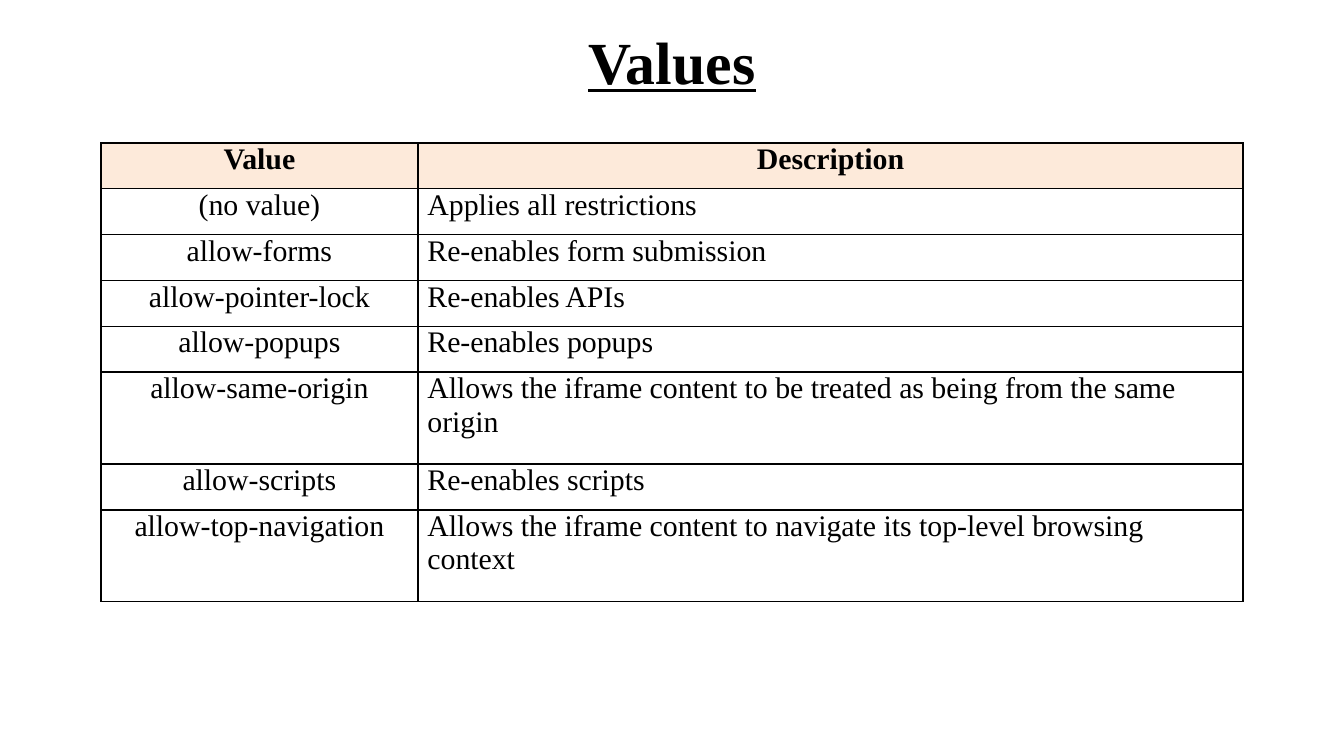
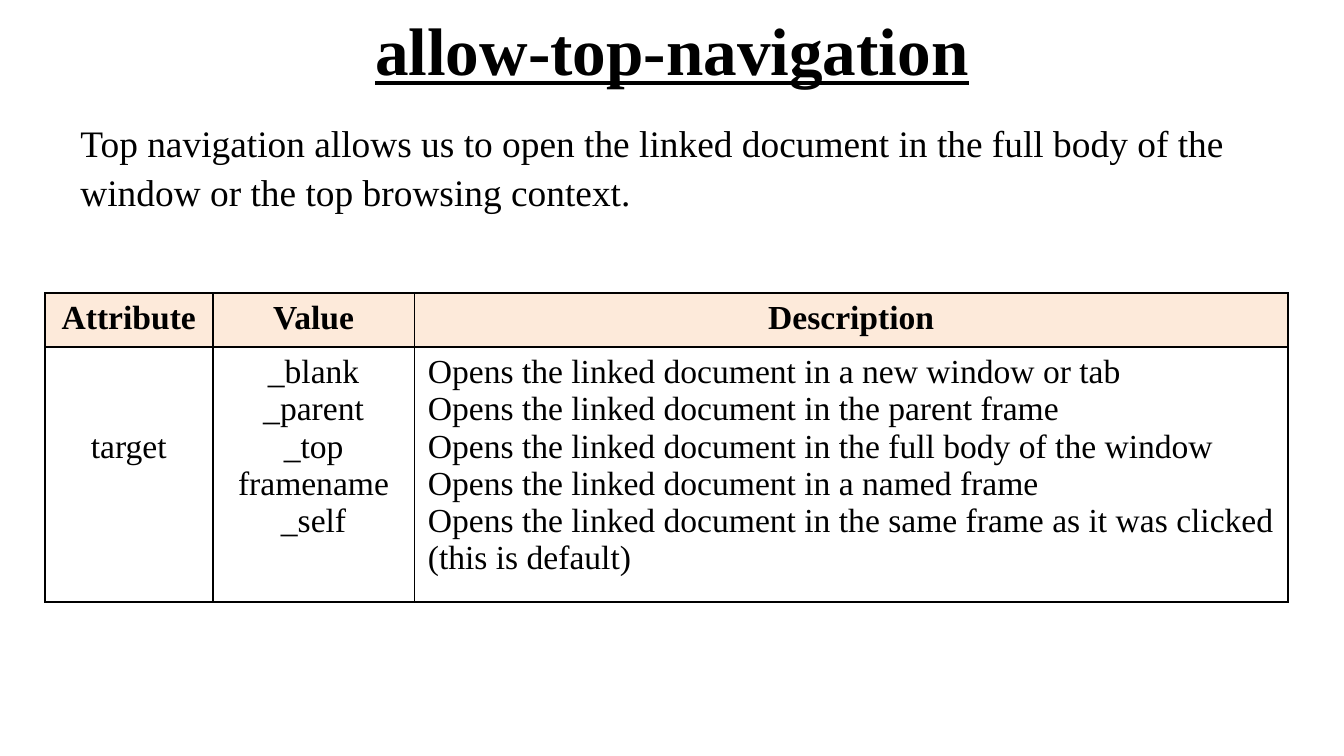
from dataclasses import dataclass

from lxml import etree
from pptx import Presentation
from pptx.dml.color import RGBColor
from pptx.enum.text import MSO_ANCHOR, PP_ALIGN
from pptx.oxml.ns import qn
from pptx.util import Pt

CENTER, LEFT = PP_ALIGN.CENTER, PP_ALIGN.LEFT
TOP, MIDDLE = MSO_ANCHOR.TOP, MSO_ANCHOR.MIDDLE
FONT = "Times New Roman"
BLACK, WHITE, PEACH = "000000", "FFFFFF", "FDEADA"
BLANK_LAYOUT = 6
PAGE_WIDTH, PAGE_HEIGHT = 720, 405
SIDE_MARGIN = 36
TITLE_HEIGHT = 67.5
BORDER_WIDTH = 1
BORDER_SIDES = ("a:lnL", "a:lnR", "a:lnT", "a:lnB")


@dataclass(frozen=True)
class TableStyle:
    left: float
    top: float
    columns: tuple[float, ...]
    rows: tuple[float, ...]
    size: float
    side_inset: float
    end_inset: float


@dataclass(frozen=True)
class Cell:
    text: str
    align: PP_ALIGN = CENTER
    bold: bool = False
    fill: str | None = None
    extra_top: float = 0


def color(code: str) -> RGBColor:
    return RGBColor.from_string(code)


def write(frame, text: str, *, size: float, align=LEFT, bold=False,
          underline=False, spacing: float | None = None) -> None:
    for index, line in enumerate(text.split("\n")):
        para = frame.paragraphs[0] if index == 0 else frame.add_paragraph()
        para.alignment = align
        if spacing is not None:
            para.line_spacing = spacing
        span = para.add_run()
        span.text = line
        span.font.name = FONT
        span.font.size = Pt(size)
        span.font.bold = bold
        span.font.underline = underline
        span.font.color.rgb = color(BLACK)


def add_text(page, text: str, top: float, height: float, *, anchor=TOP, **style) -> None:
    box = page.shapes.add_textbox(
        Pt(SIDE_MARGIN), Pt(top), Pt(PAGE_WIDTH - 2 * SIDE_MARGIN), Pt(height))
    frame = box.text_frame
    frame.word_wrap = True
    frame.vertical_anchor = anchor
    write(frame, text, **style)


def add_page(deck, title: str, title_top: float, title_size: float):
    page = deck.slides.add_slide(deck.slide_layouts[BLANK_LAYOUT])
    page.background.fill.solid()
    page.background.fill.fore_color.rgb = color(WHITE)
    add_text(page, title, title_top, TITLE_HEIGHT, anchor=MIDDLE,
             size=title_size, align=CENTER, bold=True, underline=True)
    return page


def add_borders(cell) -> None:
    properties = cell._tc.get_or_add_tcPr()
    for index, side in enumerate(BORDER_SIDES):
        line = etree.Element(qn(side), w=str(Pt(BORDER_WIDTH)))
        fill = etree.SubElement(line, qn("a:solidFill"))
        etree.SubElement(fill, qn("a:srgbClr"), val=BLACK)
        properties.insert(index, line)


def fill_cell(cell, content: Cell, style: TableStyle) -> None:
    cell.margin_left = cell.margin_right = Pt(style.side_inset)
    cell.margin_top = Pt(style.end_inset + content.extra_top)
    cell.margin_bottom = Pt(style.end_inset)
    if content.fill:
        cell.fill.solid()
        cell.fill.fore_color.rgb = color(content.fill)
    else:
        cell.fill.background()
    write(cell.text_frame, content.text, size=style.size,
          align=content.align, bold=content.bold)
    add_borders(cell)


def add_table(page, style: TableStyle, headings: tuple[str, ...],
              body: list[list[Cell]]) -> None:
    header = [Cell(text, bold=True, fill=PEACH) for text in headings]
    table = page.shapes.add_table(
        len(style.rows), len(style.columns), Pt(style.left), Pt(style.top),
        Pt(sum(style.columns)), Pt(sum(style.rows))).table
    for column, width in zip(table.columns, style.columns):
        column.width = Pt(width)
    for row, height in zip(table.rows, style.rows):
        row.height = Pt(height)
    for row, contents in zip(table.rows, [header, *body]):
        for cell, content in zip(row.cells, contents):
            fill_cell(cell, content, style)


def build_values(deck) -> None:
    values = {
        "(no value)": "Applies all restrictions",
        "allow-forms": "Re-enables form submission",
        "allow-pointer-lock": "Re-enables APIs",
        "allow-popups": "Re-enables popups",
        "allow-same-origin":
            "Allows the iframe content to be treated as being from the same origin",
        "allow-scripts": "Re-enables scripts",
        "allow-top-navigation":
            "Allows the iframe content to navigate its top-level browsing context",
    }
    single = 24.6
    double = 2 * single
    style = TableStyle(
        left=54, top=76.5, columns=(170, 442),
        rows=(*[single] * 5, double, single, double),
        size=16, side_inset=5, end_inset=0)
    page = add_page(deck, "Values", -1.5, 32)
    add_table(page, style, ("Value", "Description"),
              [[Cell(name), Cell(effect, LEFT)] for name, effect in values.items()])


def build_navigation(deck) -> None:
    targets = {
        "_blank": "Opens the linked document in a new window or tab",
        "_parent": "Opens the linked document in the parent frame",
        "_top": "Opens the linked document in the full body of the window",
        "framename": "Opens the linked document in a named frame",
        "_self": "Opens the linked document in the same frame as it was clicked "
                 "(this is default)",
    }
    style = TableStyle(
        left=24, top=157, columns=(90, 108, 468), rows=(27, 127),
        size=18, side_inset=7.2, end_inset=3.6)
    page = add_page(deck, "allow-top-navigation", -7.5, 36)
    add_text(page, "Top navigation allows us to open the linked document in the full "
             "body of the window or the top browsing context.",
             58.5, 267, size=20, spacing=1.09)
    add_table(page, style, ("Attribute", "Value", "Description"), [[
        Cell("target", extra_top=40),
        Cell("\n".join(targets)),
        Cell("\n".join(targets.values()), LEFT),
    ]])


def main() -> None:
    deck = Presentation()
    deck.slide_width, deck.slide_height = Pt(PAGE_WIDTH), Pt(PAGE_HEIGHT)
    build_values(deck)
    build_navigation(deck)
    deck.save("out.pptx")


main()
